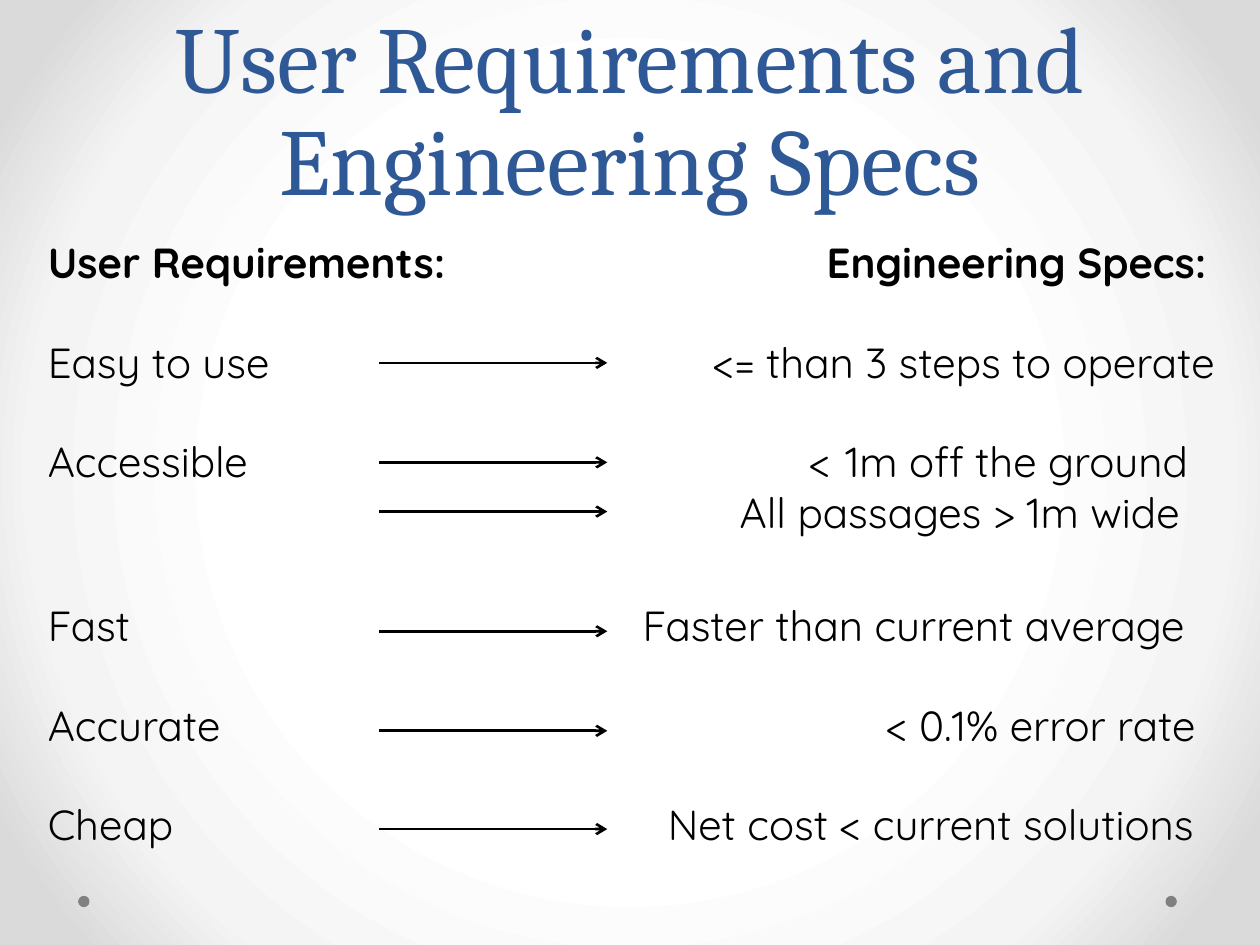
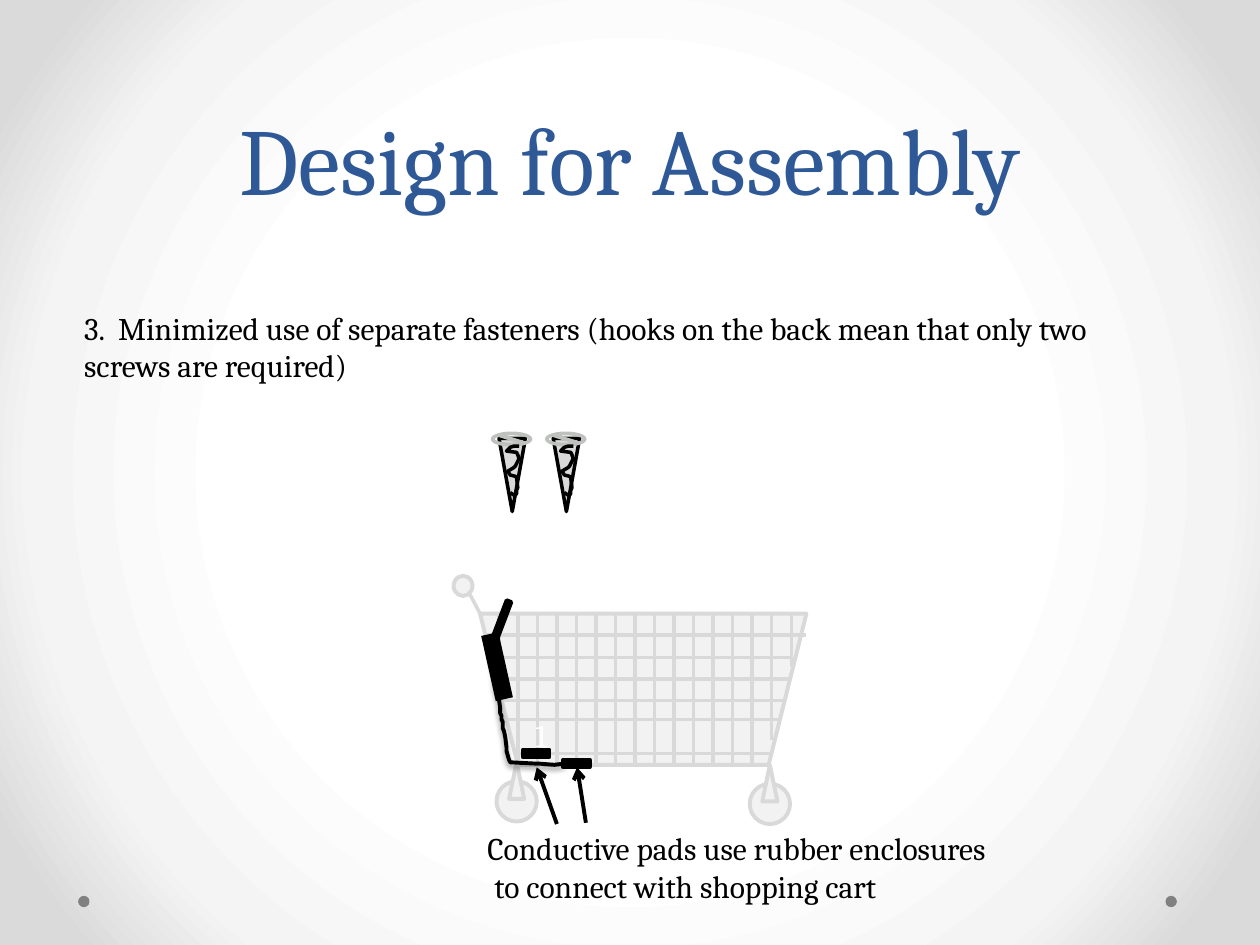
from pptx import Presentation
from pptx.dml.color import RGBColor
from pptx.enum.shapes import MSO_CONNECTOR, MSO_SHAPE
from pptx.enum.text import MSO_ANCHOR, PP_ALIGN
from pptx.oxml import parse_xml
from pptx.oxml.ns import nsdecls
from pptx.util import Inches, Pt
from lxml import etree

ELLIPSE, RECTANGLE = MSO_SHAPE.OVAL, MSO_SHAPE.RECTANGLE
TRIANGLE, TRAPEZOID = MSO_SHAPE.ISOSCELES_TRIANGLE, MSO_SHAPE.TRAPEZOID
NO_SYMBOL = MSO_SHAPE.NO_SYMBOL
STRAIGHT = MSO_CONNECTOR.STRAIGHT
LEFT, CENTER, RIGHT = PP_ALIGN.LEFT, PP_ALIGN.CENTER, PP_ALIGN.RIGHT
TOP, MIDDLE, BOTTOM = MSO_ANCHOR.TOP, MSO_ANCHOR.MIDDLE, MSO_ANCHOR.BOTTOM

COLORS = {
    "title": "2F5897", "ink": "000000", "white": "FFFFFF", "dot": "808080",
    "cart_fill": "F2F2F2", "cart_line": "D9D9D9", "screw": "D9D9D9", "screw_head": "BFC1BF",
}
BACKGROUND_STOPS = [(50, "FFFFFF"), (76, "F4F4F4"), (92, "DADADA")]
SERIF, SANS = "Cambria", "Quicksand"

SPECS_TITLE = "User Requirements and Engineering Specs"
HEADINGS = [("User Requirements:", 0.38, 3.23), ("Engineering Specs:", 6.56, 3.22)]
REQUIREMENTS = [
    (2.67, "Easy to use"), (3.46, "Accessible"), (4.76, "Fast"),
    (5.55, "Accurate"), (6.34, "Cheap"),
]
SPECS = [
    ("<= than 3 steps to operate", 5.07, 2.67, 4.57, RIGHT),
    ("<", 6.42, 3.46, 0.36, LEFT),
    ("1m off the ground", 6.71, 3.46, 3.07, LEFT),
    ("All passages > 1m wide", 5.87, 3.86, 3.91, LEFT),
    ("Faster than current average", 5.1, 4.76, 4.78, LEFT),
    ("< 0.1% error rate", 7.03, 5.55, 2.75, LEFT),
    ("Net cost < current solutions", 5.3, 6.34, 4.49, LEFT),
]
ARROW_HEIGHTS = [2.88, 3.67, 4.06, 5.01, 5.8, 6.58]

ASSEMBLY_TITLE = "Design for Assembly"
FASTENERS = ("3.  Minimized use of separate fasteners (hooks on the back mean "
             "that only two screws are required)")
PADS_CAPTION = "Conductive pads use rubber enclosures\v to connect with shopping cart"
BASKET_TOP, BASKET_BOTTOM = 4.87, 6.07
BAR_BOTTOMS = [BASKET_BOTTOM] * 13 + [5.87, 5.29]
BAR_LEFT, BAR_GAP = 4.11, 0.155
CART_RAILS = [
    (3.96, 5.51, 3.96, 4.86),
    (3.86, 5.04, 6.4, 5.04), (3.87, 5.22, 6.28, 5.22), (3.96, 5.39, 6.28, 5.39),
    (3.98, 5.56, 6.23, 5.56), (3.99, 5.71, 6.19, 5.71), (4.07, 5.98, 6.13, 5.98),
    (3.81, 4.87, 3.71, 4.68),
]
HANDLE_AND_WHEELS = [
    (ELLIPSE, 3.6, 4.57, 0.15, 0.16),
    (TRIANGLE, 4.04, 6.05, 0.12, 0.29),
    (ELLIPSE, 5.95, 6.22, 0.32, 0.32),
    (TRIANGLE, 6.05, 6.07, 0.12, 0.29),
]
PAD_ARROWS = [(4.42, 6.54, 4.26, 6.09), (4.65, 6.53, 4.58, 6.09)]
SCREW_OFFSETS = [0, 0.43]
SCREW_THREAD = [
    (4.05, 3.91), (4.08, 3.93), (4.1, 3.92), (4.1, 3.89), (4.11, 3.87), (4.1, 3.79),
    (4.09, 3.78), (4.05, 3.77), (4.03, 3.74), (4.08, 3.71), (4.09, 3.7), (4.1, 3.68),
    (4.11, 3.66), (4.12, 3.64), (4.11, 3.61), (4.1, 3.59), (4.02, 3.58), (4.03, 3.57),
    (4.05, 3.55), (4.08, 3.54), (4.12, 3.54),
]
CABLE = [
    (4.48, 6.06), (4.4, 6.07), (4.27, 6.06), (4.24, 6.06), (4.05, 6.05), (4.04, 6.03),
    (4.02, 5.96), (4.02, 5.93), (4.01, 5.85), (4, 5.8), (3.99, 5.78), (3.99, 5.73),
    (3.98, 5.71), (3.98, 5.68), (3.97, 5.66), (3.97, 5.62), (3.96, 5.55), (3.95, 5.52),
    (3.94, 5.48), (3.93, 5.4), (3.93, 5.34), (3.92, 5.29), (3.91, 5.21), (3.91, 5.17),
    (3.9, 5.09),
]


def rgb(name):
    return RGBColor.from_string(COLORS[name])


def write_text(frame, text, size=18, font=SERIF, color="ink", bold=False,
               align=LEFT, anchor=TOP, inset=None, spacing=None):
    frame.word_wrap = True
    frame.vertical_anchor = anchor
    if inset is not None:
        frame.margin_left = frame.margin_right = Inches(inset)
        frame.margin_top = frame.margin_bottom = Inches(inset)
    paragraph = frame.paragraphs[0]
    paragraph.text = text
    paragraph.alignment = align
    if spacing:
        paragraph.line_spacing = Pt(spacing)
    for run in paragraph.runs:
        run.font.size = Pt(size)
        run.font.name = font
        run.font.bold = bold
        run.font.color.rgb = rgb(color)


def add_text(slide, text, left, top, width, height, **style):
    box = slide.shapes.add_textbox(Inches(left), Inches(top), Inches(width), Inches(height))
    write_text(box.text_frame, text, **style)


def add_shape(slide, kind, left, top, width, height, fill, line=None, weight=2.25, rotation=0):
    shape = slide.shapes.add_shape(kind, Inches(left), Inches(top), Inches(width), Inches(height))
    shape.shadow.inherit = False
    shape.rotation = rotation
    shape.fill.solid()
    shape.fill.fore_color.rgb = rgb(fill)
    if line:
        shape.line.color.rgb = rgb(line)
        shape.line.width = Pt(weight)
    else:
        shape.line.fill.background()
    return shape


def add_line(slide, x1, y1, x2, y2, color="ink", weight=1.5, arrow=False):
    connector = slide.shapes.add_connector(
        STRAIGHT, Inches(x1), Inches(y1), Inches(x2), Inches(y2))
    connector.line.color.rgb = rgb(color)
    connector.line.width = Pt(weight)
    if arrow:
        line = connector.line._get_or_add_ln()
        line.append(parse_xml(f'<a:tailEnd {nsdecls("a")} type="arrow"/>'))
    connector._element.spPr.append(parse_xml(f'<a:effectLst {nsdecls("a")}/>'))


def add_curve(slide, points, weight):
    (start_x, start_y), *rest = [(Inches(x), Inches(y)) for x, y in points]
    builder = slide.shapes.build_freeform(start_x, start_y)
    builder.add_line_segments(rest, close=False)
    curve = builder.convert_to_shape()
    curve.shadow.inherit = False
    curve.fill.background()
    curve.line.color.rgb = rgb("ink")
    curve.line.width = Pt(weight)
    return curve


def add_soft_shadow(shape):
    effects = shape._element.spPr.find("{*}effectLst")
    effects.append(parse_xml(
        f'<a:outerShdw {nsdecls("a")} blurRad="40000" dist="20000" dir="5400000" '
        f'rotWithShape="0"><a:srgbClr val="{COLORS["ink"]}"><a:alpha val="38000"/>'
        '</a:srgbClr></a:outerShdw>'))


def set_background(slide):
    background = parse_xml(
        f'<p:bg {nsdecls("p", "a")}><p:bgPr><a:gradFill rotWithShape="1"><a:gsLst/>'
        '<a:path path="circle"><a:fillToRect l="50000" t="50000" r="50000" b="50000"/>'
        '</a:path></a:gradFill><a:effectLst/></p:bgPr></p:bg>')
    stops = background.find(".//{*}gsLst")
    namespace = etree.QName(stops).namespace
    for position, color in BACKGROUND_STOPS:
        stop = etree.SubElement(stops, f"{{{namespace}}}gs", pos=str(position * 1000))
        etree.SubElement(stop, f"{{{namespace}}}srgbClr", val=color)
    slide._element.cSld.insert(0, background)


def new_slide(presentation, title):
    slide = presentation.slides.add_slide(presentation.slide_layouts[6])
    set_background(slide)
    for left in (9.25, 0.62):
        add_shape(slide, ELLIPSE, left, 7.11, 0.09, 0.09, "dot")
    add_text(slide, title, 0.5, 0, 9, 1.75, size=54, color="title",
             align=CENTER, anchor=BOTTOM, spacing=58)
    return slide


def build_specs(presentation):
    slide = new_slide(presentation, SPECS_TITLE)
    body = {"size": 24, "font": SANS, "inset": 0}
    for y in ARROW_HEIGHTS:
        add_line(slide, 3.01, y, 4.82, y, arrow=True)
    for text, left, width in HEADINGS:
        add_text(slide, text, left, 1.88, width, 0.48, bold=True, **body)
    for top, text in REQUIREMENTS:
        add_text(slide, text, 0.38, top, 1.94, 0.47, **body)
    for text, left, top, width, align in SPECS:
        add_text(slide, text, left, top, width, 0.47, align=align, **body)


def draw_cart(slide):
    colors = {"fill": "cart_fill", "line": "cart_line"}
    add_shape(slide, ELLIPSE, 3.94, 6.2, 0.32, 0.32, **colors)
    add_shape(slide, TRAPEZOID, 3.81, BASKET_TOP, 2.59, BASKET_BOTTOM - BASKET_TOP,
              rotation=180, **colors)
    bars = [(BAR_LEFT + BAR_GAP * index, bottom, BAR_LEFT + BAR_GAP * index, BASKET_TOP)
            for index, bottom in enumerate(BAR_BOTTOMS)]
    for ends in bars + CART_RAILS:
        add_line(slide, *ends, color="cart_line", weight=2)
    for part in HANDLE_AND_WHEELS:
        add_shape(slide, *part, **colors)


def draw_screw(slide, offset):
    add_shape(slide, TRIANGLE, 3.96 + offset, 3.48, 0.21, 0.58, "screw", "ink", 2, 180)
    add_shape(slide, NO_SYMBOL, 3.9 + offset, 3.43, 0.32, 0.11, "screw_head", "screw_head", 0.75)
    add_curve(slide, [(x + offset, y) for x, y in SCREW_THREAD], 2)


def build_assembly(presentation):
    slide = new_slide(presentation, ASSEMBLY_TITLE)
    draw_cart(slide)
    pad = add_shape(slide, RECTANGLE, 4.15, 5.95, 0.21, 0.06, "ink", "ink")
    write_text(pad.text_frame, "11", color="white", anchor=MIDDLE)
    add_shape(slide, RECTANGLE, 4.47, 6.03, 0.21, 0.06, "ink", "ink")
    add_shape(slide, RECTANGLE, 3.81, 4.91, 0.34, 0.04, "ink", "ink", rotation=290.8)
    for ends in PAD_ARROWS:
        add_line(slide, *ends, weight=2.25, arrow=True)
    add_text(slide, PADS_CAPTION, 3.77, 6.53, 4.61, 0.71)
    for offset in SCREW_OFFSETS:
        draw_screw(slide, offset)
    add_soft_shadow(add_curve(slide, CABLE, 2.25))
    add_shape(slide, RECTANGLE, 3.68, 5.22, 0.53, 0.14, "ink", rotation=257.4)
    add_text(slide, FASTENERS, 0.57, 2.4, 8.84, 0.71)


def main():
    presentation = Presentation()
    presentation.slide_width = Inches(10)
    presentation.slide_height = Inches(7.5)
    build_specs(presentation)
    build_assembly(presentation)
    presentation.save("out.pptx")


if __name__ == "__main__":
    main()
